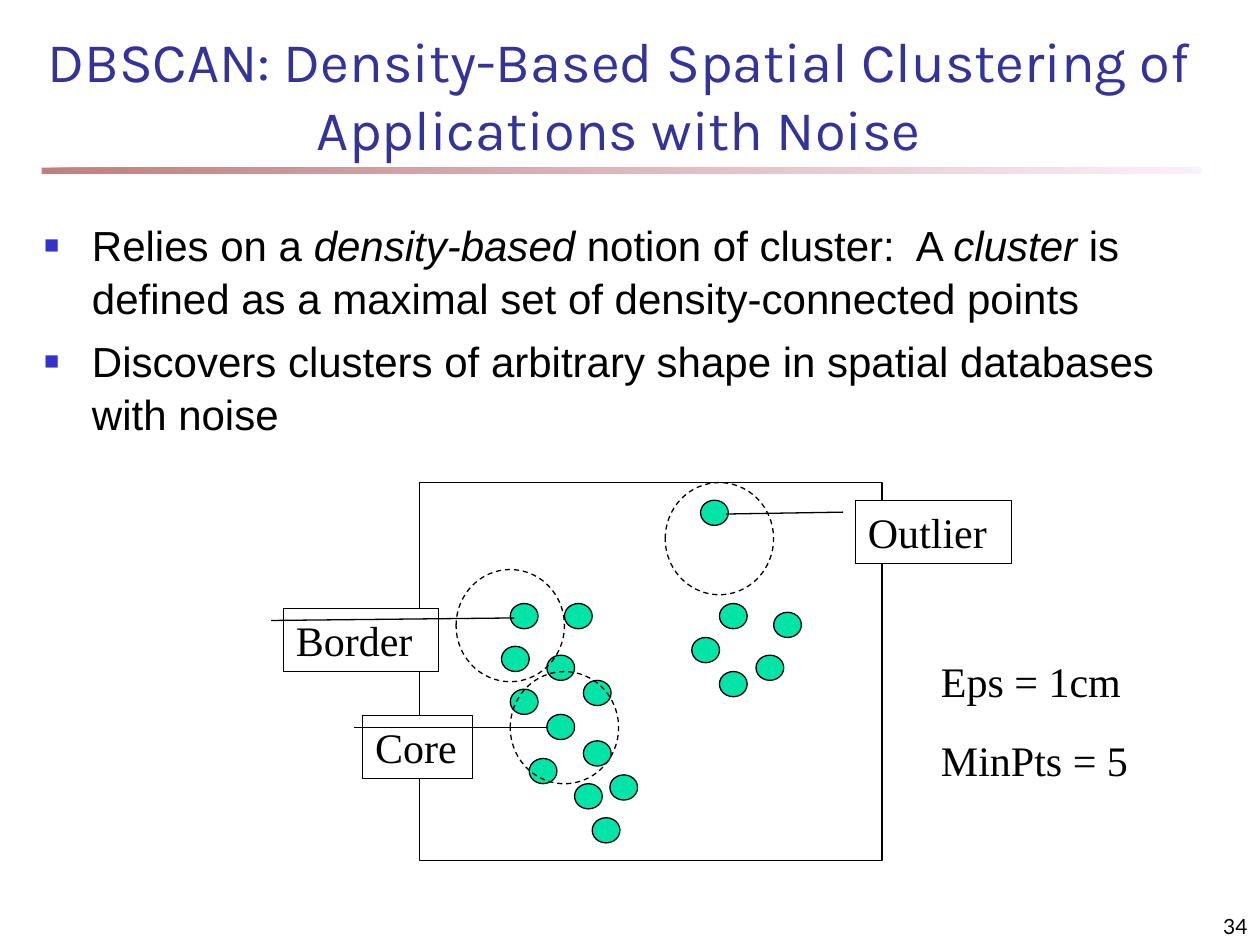
from dataclasses import dataclass

from lxml import etree
from pptx import Presentation
from pptx.dml.color import RGBColor
from pptx.enum.dml import MSO_LINE
from pptx.enum.shapes import MSO_SHAPE
from pptx.enum.text import MSO_ANCHOR, MSO_AUTO_SIZE, PP_ALIGN
from pptx.oxml.ns import qn
from pptx.util import Inches, Pt

RECTANGLE, OVAL = MSO_SHAPE.RECTANGLE, MSO_SHAPE.OVAL
CALLOUT = MSO_SHAPE.LINE_CALLOUT_1
LEFT, CENTER, RIGHT = PP_ALIGN.LEFT, PP_ALIGN.CENTER, PP_ALIGN.RIGHT
TOP, BOTTOM = MSO_ANCHOR.TOP, MSO_ANCHOR.BOTTOM
DASH = MSO_LINE.DASH


@dataclass(frozen=True)
class Theme:
    title: str = "333399"
    text: str = "000000"
    bullet: str = "3333CC"
    point: str = "00E4A8"
    label: str = "FFFFFF"
    bar_start: str = "800000"
    bar_end: str = "FAE2F6"
    title_font: str = "Karla"
    body_font: str = "Arial"
    label_font: str = "Times New Roman"
    number_font: str = "Lato"
    title_size: int = 32
    body_size: int = 24
    number_size: int = 12


THEME = Theme()
POINT_SIZE = (0.22, 0.2)
NEIGHBOURHOOD_SIZE = (0.86, 0.89)

# Left and top of every data point
POINTS = [
    (4.05, 4.79), (3.98, 5.13), (4.34, 5.2), (4.48, 4.79), (4.63, 5.4),
    (4.05, 5.47), (4.34, 5.67), (4.2, 6.02), (4.56, 6.22), (4.7, 6.49),
    (4.63, 5.88), (4.84, 6.15),
    (5.56, 3.97),
    (5.71, 4.79), (5.49, 5.06), (6, 5.2), (6.14, 4.86), (5.71, 5.33),
]
NEIGHBOURHOODS = [(3.62, 4.52), (4.05, 5.33), (5.28, 3.83)]

# Label, left, top, width, and where the leader ends (y, x as shares of the box)
LABELS = [
    ("Core", 2.88, 5.68, 0.87, 0.19, 1.69),
    ("Border", 2.25, 4.83, 1.23, 0.15, 1.49),
    ("Outlier", 6.79, 3.97, 1.24, 0.22, -0.83),
]

# Paragraphs as (text, italic) runs
BULLETS = [
    [("Relies on a ", False), ("density-based", True),
     (" notion of cluster:  A ", False), ("cluster", True),
     (" is defined as a maximal set of density-connected points", False)],
    [("Discovers clusters of arbitrary shape in spatial databases with noise", False)],
]


def add_bullet(paragraph):
    props = paragraph._p.get_or_add_pPr()
    props.set("marL", str(Inches(0.38)))
    props.set("indent", str(Inches(-0.38)))
    color = etree.SubElement(props, qn("a:buClr"))
    etree.SubElement(color, qn("a:srgbClr"), val=THEME.bullet)
    etree.SubElement(props, qn("a:buSzPct"), val="60000")
    etree.SubElement(props, qn("a:buFont"), typeface=THEME.body_font)
    etree.SubElement(props, qn("a:buChar"), char="■")


def write_text(frame, paragraphs, *, font, size, color=THEME.text, align=LEFT,
               anchor=TOP, gap=0, spacing=1.0, bullets=False):
    frame.auto_size = MSO_AUTO_SIZE.NONE
    frame.word_wrap = True
    frame.vertical_anchor = anchor
    for index, runs in enumerate(paragraphs):
        paragraph = frame.add_paragraph() if index else frame.paragraphs[0]
        if bullets:
            add_bullet(paragraph)
        paragraph.alignment = align
        paragraph.line_spacing = spacing
        paragraph.space_before = Pt(gap if index else 0)
        for text, italic in runs:
            run = paragraph.add_run()
            run.text = text
            run.font.name = font
            run.font.size = Pt(size)
            run.font.italic = italic
            run.font.color.rgb = RGBColor.from_string(color)


def place(placeholder, left, top, width, height):
    placeholder.left, placeholder.top = Inches(left), Inches(top)
    placeholder.width, placeholder.height = Inches(width), Inches(height)
    return placeholder.text_frame


def add_text_box(slide, left, top, width, height):
    box = slide.shapes.add_textbox(Inches(left), Inches(top), Inches(width), Inches(height))
    return box.text_frame


def add_outline(slide, kind, left, top, width, height, fill=None, dash=None):
    shape = slide.shapes.add_shape(
        kind, Inches(left), Inches(top), Inches(width), Inches(height))
    shape.shadow.inherit = False
    if fill:
        shape.fill.solid()
        shape.fill.fore_color.rgb = RGBColor.from_string(fill)
    else:
        shape.fill.background()
    shape.line.color.rgb = RGBColor.from_string(THEME.text)
    shape.line.width = Pt(0.75)
    if dash:
        shape.line.dash_style = dash
    return shape


def add_title_bar(slide):
    bar = add_outline(slide, RECTANGLE, 0.33, 1.33, 9.2, 0.05)
    bar.line.fill.background()
    bar.fill.gradient()
    bar.fill.gradient_angle = 0
    for stop, color in zip(bar.fill.gradient_stops, (THEME.bar_start, THEME.bar_end)):
        stop.color.rgb = RGBColor.from_string(color)
    for color in bar._element.spPr.iter(qn("a:srgbClr")):
        etree.SubElement(color, qn("a:alpha"), val="50000")


def add_label(slide, text, left, top, width, end_y, end_x):
    label = add_outline(slide, CALLOUT, left, top, width, 0.5, fill=THEME.label)
    for index, value in enumerate((0.19, -0.08, end_y, end_x)):
        label.adjustments[index] = value
    write_text(label.text_frame, [[(text, False)]],
               font=THEME.label_font, size=THEME.body_size)


def add_cluster_diagram(slide):
    for left, top in POINTS:
        add_outline(slide, OVAL, left, top, *POINT_SIZE, fill=THEME.point)
    add_outline(slide, RECTANGLE, 3.33, 3.83, 3.67, 3)
    for left, top in NEIGHBOURHOODS:
        add_outline(slide, OVAL, left, top, *NEIGHBOURHOOD_SIZE, dash=DASH)
    for label in LABELS:
        add_label(slide, *label)
    write_text(add_text_box(slide, 7.37, 5.13, 1.8, 1.11),
               [[("Eps = 1cm", False)], [("MinPts = 5", False)]],
               font=THEME.label_font, size=THEME.body_size, gap=15, spacing=1.05)


def main():
    deck = Presentation()
    deck.slide_width, deck.slide_height = Inches(10), Inches(7.5)
    slide = deck.slides.add_slide(deck.slide_layouts[1])

    # Title and the bar under it
    add_title_bar(slide)
    write_text(
        place(slide.shapes.title, 0.25, 0.25, 9.33, 1.08),
        [[("DBSCAN: Density-Based Spatial Clustering of Applications with Noise", False)]],
        font=THEME.title_font, size=THEME.title_size, color=THEME.title,
        align=CENTER, anchor=BOTTOM)

    # Bulleted description
    write_text(place(slide.placeholders[1], 0.25, 1.67, 9.33, 5.5), BULLETS,
               font=THEME.body_font, size=THEME.body_size, gap=6, spacing=1.05,
               bullets=True)

    # Core, border and outlier points
    add_cluster_diagram(slide)

    # Slide number
    write_text(add_text_box(slide, 7.92, 7.08, 2.08, 0.42), [[("34", False)]],
               font=THEME.number_font, size=THEME.number_size,
               align=RIGHT, anchor=BOTTOM)

    deck.save("out.pptx")


if __name__ == "__main__":
    main()
